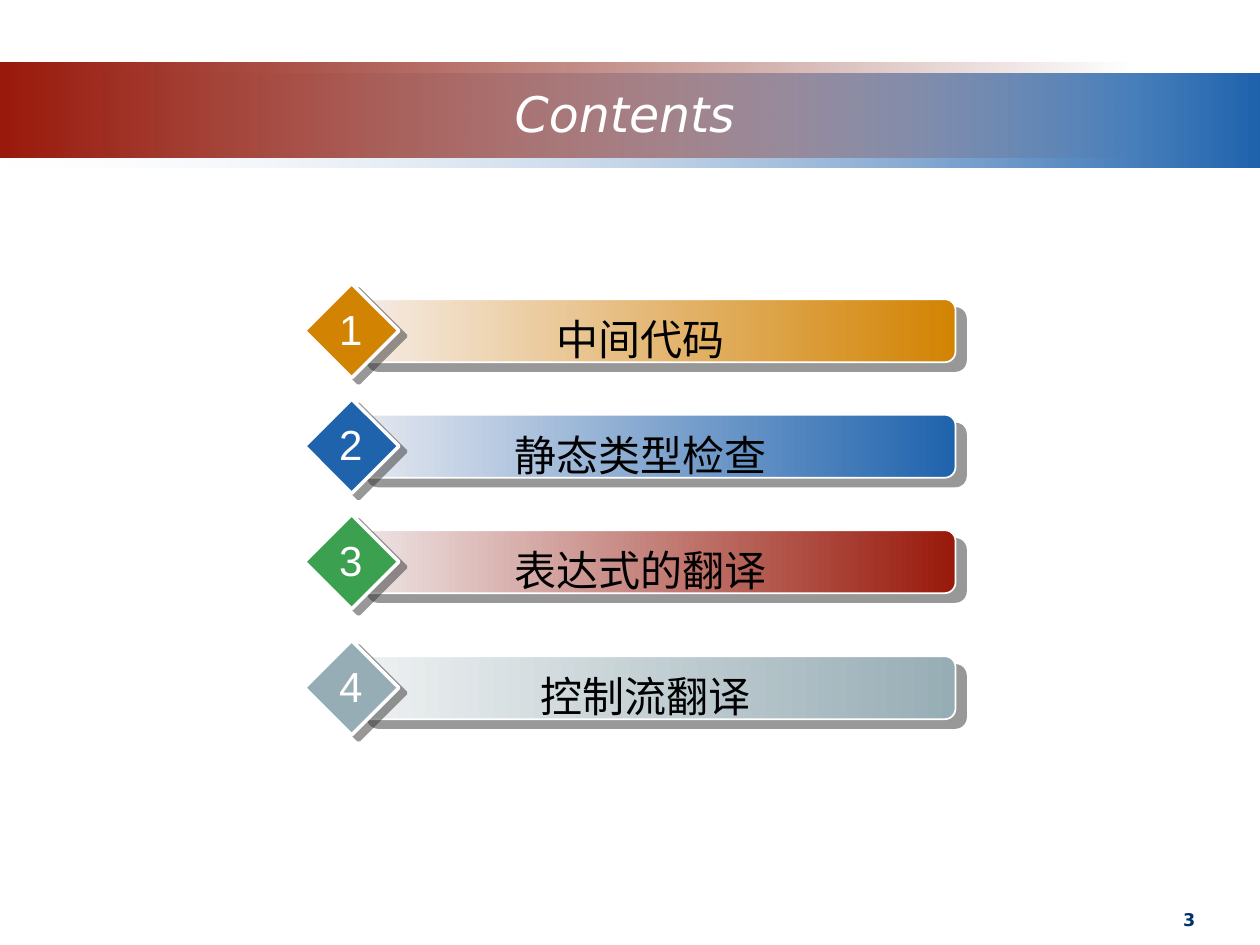
"""Build the Contents slide: a gradient banner and four numbered topic bars."""
from lxml import etree
from pptx import Presentation
from pptx.dml.color import RGBColor
from pptx.enum.shapes import MSO_SHAPE
from pptx.enum.text import MSO_ANCHOR, PP_ALIGN
from pptx.oxml.ns import qn
from pptx.util import Pt

RECT, ROUNDED, DIAMOND = MSO_SHAPE.RECTANGLE, MSO_SHAPE.ROUNDED_RECTANGLE, MSO_SHAPE.DIAMOND
CENTER, RIGHT = PP_ALIGN.CENTER, PP_ALIGN.RIGHT
TOP, MIDDLE = MSO_ANCHOR.TOP, MSO_ANCHOR.MIDDLE
COLORS = {
    "white": "FFFFFF", "black": "000000", "navy": "003366", "shadow": "333333",
    "orange": "D28302", "blue": "1F63AD", "red": "99190B", "green": "3CA051", "gray": "97ADB5",
    "pale orange": "F6ECE6", "pale blue": "E6E9F1", "pale red": "EEE6E6", "pale gray": "EEF1F2",
    "banner pale": "F1F2F7", "banner dark": "6D1208",
}


def add_text(parent, text, box, size, color, font="Arial", align=CENTER, anchor=TOP,
             wrap=True, bold=False, italic=False):
    frame = parent.add_textbox(*map(Pt, box)).text_frame
    frame.word_wrap = wrap
    frame.vertical_anchor = anchor
    paragraph = frame.paragraphs[0]
    paragraph.alignment = align
    run = paragraph.add_run()
    run.text = text
    run.font.name = font
    run.font.size = Pt(size)
    run.font.bold = bold
    run.font.italic = italic
    run.font.color.rgb = RGBColor.from_string(COLORS[color])


def add_block(parent, kind, box, fills, clear_stop=None, line_width=None, shadow=None):
    block = parent.add_shape(kind, *map(Pt, box))
    block.shadow.inherit = False
    if len(fills) == 1:
        block.fill.solid()
        block.fill.fore_color.rgb = RGBColor.from_string(COLORS[fills[0]])
    else:
        block.fill.gradient()
        block.fill.gradient_angle = 0
        for stop, color in zip(block.fill.gradient_stops, fills):
            stop.color.rgb = RGBColor.from_string(COLORS[color])
    properties = block.element.spPr
    if clear_stop is not None:
        stop_color = list(properties.iter(qn("a:srgbClr")))[clear_stop]
        etree.SubElement(stop_color, qn("a:alpha"), val="0")
    if line_width:
        block.line.color.rgb = RGBColor.from_string(COLORS["white"])
        block.line.width = Pt(line_width)
    else:
        block.line.fill.background()
    if shadow:
        distance, angle = shadow
        outer = etree.SubElement(properties.find(qn("a:effectLst")), qn("a:outerShdw"),
                                 blurRad="0", dist=str(Pt(distance)), dir=str(angle * 60000),
                                 algn="ctr", rotWithShape="0")
        tone = etree.SubElement(outer, qn("a:srgbClr"), val=COLORS["shadow"])
        etree.SubElement(tone, qn("a:alpha"), val="50000")
    return block


deck = Presentation()
deck.slide_width, deck.slide_height = Pt(720), Pt(540)
slide = deck.slides.add_slide(deck.slide_layouts[6])

add_block(slide.shapes, RECT, (0, 42, 720, 54), ("banner pale", "blue"), clear_stop=0)
add_block(slide.shapes, RECT, (0, 36, 648, 54), ("red", "banner dark"), clear_stop=1)
add_text(slide.shapes, "3", (522, 516, 168, 20), 10, "navy", font="DejaVu Sans",
         align=RIGHT, bold=True)
add_text(slide.shapes, "Contents", (66, 42, 582, 45), 28, "white", font="DejaVu Sans",
         anchor=MIDDLE, italic=True)

topics = [
    ("中间代码", 162, "orange", "orange", 288),
    ("静态类型检查", 228, "blue", "blue", 288),
    ("表达式的翻译", 294, "red", "green", 288),
    ("控制流翻译", 366, "gray", "gray", 294),
]
for number, (topic, top, bar_color, badge_color, topic_width) in enumerate(topics, 1):
    entry = slide.shapes.add_group_shape().shapes
    bar = add_block(entry, ROUNDED, (204, top + 9, 342, 36), ("pale " + bar_color, bar_color),
                    line_width=1, shadow=(7.8, 40))
    bar.adjustments[0] = 0.17
    add_block(entry, DIAMOND, (174, top, 54, 54), (badge_color,), line_width=2, shadow=(5, 37))
    add_text(entry, topic, (222, top + 13.75, topic_width, 36), 24, "black")
    add_text(entry, str(number), (186.5, top + 7.75, 28, 36), 24, "white", wrap=False)

deck.save("out.pptx")
